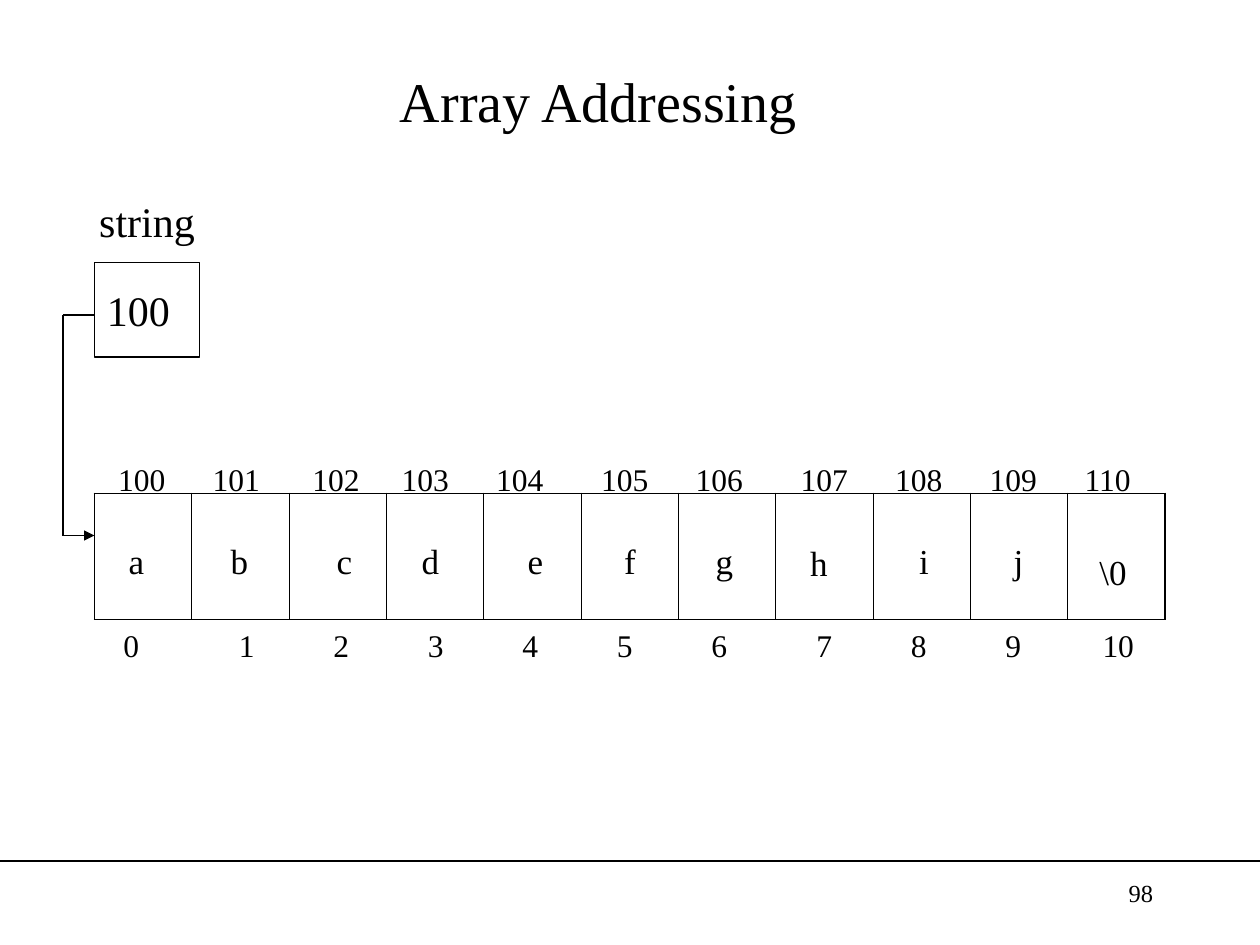
from dataclasses import dataclass

from lxml import etree
from pptx import Presentation
from pptx.dml.color import RGBColor
from pptx.enum.shapes import MSO_CONNECTOR, MSO_SHAPE
from pptx.enum.text import MSO_ANCHOR, MSO_AUTO_SIZE, PP_ALIGN
from pptx.oxml.ns import qn
from pptx.util import Inches, Pt

STRAIGHT, RECTANGLE = MSO_CONNECTOR.STRAIGHT, MSO_SHAPE.RECTANGLE
LEFT, CENTER, RIGHT = PP_ALIGN.LEFT, PP_ALIGN.CENTER, PP_ALIGN.RIGHT
MIDDLE, FIT_SHAPE = MSO_ANCHOR.MIDDLE, MSO_AUTO_SIZE.SHAPE_TO_FIT_TEXT
TITLE_ONLY = 5


@dataclass(frozen=True)
class Theme:
    font: str = "Times New Roman"
    ink: RGBColor = RGBColor(0, 0, 0)
    title: int = 32
    variable: int = 24
    letter: int = 20
    label: int = 18
    page: int = 14
    line: float = 0.75
    outer_border: float = 1.08
    inner_border: float = 0.45


THEME = Theme()

# The slide is a grid of 120 columns by 90 rows.
COLUMNS, ROWS = 120, 90
WIDTH, HEIGHT = Inches(10), Inches(7.5)

TITLE = "Array Addressing"
VARIABLE, POINTER_VALUE = "string", "100"
PAGE = "98"

# Each entry: text, left column, width in columns
ADDRESSES = [
    ("100", 10, 7), ("101", 18, 9), ("102", 28, 8), ("103", 37, 7),
    ("104", 46, 7), ("105", 56, 7), ("106", 65, 7), ("107", 75, 7),
    ("108", 84, 7), ("109", 93, 7), ("110", 102, 7),
]
# Each entry: text, left column, top row
LETTERS = [
    ("a", 10, 50.8), ("b", 19.8, 50.8), ("c", 29.8, 50.8), ("d", 38, 50.8),
    ("e", 48, 50.8), ("f", 57, 50.8), ("g", 66, 50.8), ("h", 75, 51),
    ("i", 85, 50.8), ("j", 94, 50.8), ("\\0", 103, 51.8),
]
INDEX_COLUMNS = [9, 20, 29, 38, 47, 56, 65, 75, 84, 93, 103]

ARRAY_AREA = (9, 47, 102, 12)
POINTER_AREA = (9, 25, 10, 9)
ARROW_COLUMN, ARROW_START, ARROW_END = 6, 30, 51
FOOTER_ROW = 82


def x(column):
    return round(WIDTH * column / COLUMNS)


def y(row):
    return round(HEIGHT * row / ROWS)


def place(area):
    left, top, width, height = area
    return x(left), y(top), x(width), y(height)


def write(frame, text, size, align=CENTER):
    frame.word_wrap = True
    frame.text = text
    paragraph = frame.paragraphs[0]
    paragraph.alignment = align
    paragraph.font.name = THEME.font
    paragraph.font.size = Pt(size)
    paragraph.font.color.rgb = THEME.ink


def add_label(slide, text, area, size, align=CENTER):
    frame = slide.shapes.add_textbox(*place(area)).text_frame
    write(frame, text, size, align)
    frame.auto_size = FIT_SHAPE


def add_line(slide, start, end, arrow=False):
    line = slide.shapes.add_connector(
        STRAIGHT, x(start[0]), y(start[1]), x(end[0]), y(end[1]))
    line.line.color.rgb = THEME.ink
    line.line.width = Pt(THEME.line)
    if arrow:
        etree.SubElement(line.line._get_or_add_ln(), qn("a:tailEnd"), type="triangle")
    etree.SubElement(line._element.spPr, qn("a:effectLst"))


def set_borders(cell, widths):
    """Draw the left, right, top and bottom borders in the given point widths."""
    properties = cell._tc.get_or_add_tcPr()
    for position, (side, width) in enumerate(zip("LRTB", widths)):
        border = etree.Element(qn(f"a:ln{side}"), w=str(Pt(width)))
        fill = etree.SubElement(border, qn("a:solidFill"))
        etree.SubElement(fill, qn("a:srgbClr"), val=str(THEME.ink))
        properties.insert(position, border)


def add_array(slide):
    count = len(LETTERS)
    table = slide.shapes.add_table(1, count, *place(ARRAY_AREA)).table
    table.first_row = table.horz_banding = False
    outer, inner = THEME.outer_border, THEME.inner_border
    for number in range(count):
        table.columns[number].width = x(ARRAY_AREA[2] / count)
        cell = table.cell(0, number)
        cell.fill.background()
        left = outer if number == 0 else inner
        right = outer if number == count - 1 else inner
        set_borders(cell, (left, right, outer, outer))


def add_pointer(slide):
    add_label(slide, VARIABLE, (6, 18, 16, 6), THEME.variable)
    box = slide.shapes.add_shape(RECTANGLE, *place(POINTER_AREA))
    box.shadow.inherit = False
    box.fill.background()
    box.line.color.rgb = THEME.ink
    box.line.width = Pt(THEME.line)
    box.text_frame.vertical_anchor = MIDDLE
    write(box.text_frame, POINTER_VALUE, THEME.variable, LEFT)

    edge = POINTER_AREA[0]
    add_line(slide, (ARROW_COLUMN, ARROW_START), (ARROW_COLUMN, ARROW_END))
    add_line(slide, (ARROW_COLUMN, ARROW_START), (edge, ARROW_START))
    add_line(slide, (ARROW_COLUMN, ARROW_END), (edge, ARROW_END), arrow=True)


def main():
    deck = Presentation()
    deck.slide_width, deck.slide_height = WIDTH, HEIGHT
    slide = deck.slides.add_slide(deck.slide_layouts[TITLE_ONLY])

    title = slide.shapes.title
    title.left, title.top, title.width, title.height = place((6, 3, 102, 13))
    title.text_frame.vertical_anchor = MIDDLE
    write(title.text_frame, TITLE, THEME.title)

    add_line(slide, (0, FOOTER_ROW), (COLUMNS, FOOTER_ROW))
    add_array(slide)
    add_pointer(slide)
    for index, column in enumerate(INDEX_COLUMNS):
        add_label(slide, str(index), (column, 59, 7, 4.8), THEME.label)
    for address, column, width in ADDRESSES:
        add_label(slide, address, (column, 43.2, width, 4.8), THEME.label)
    for letter, column, row in LETTERS:
        add_label(slide, letter, (column, row, 6, 5.3), THEME.letter)
    add_label(slide, PAGE, (86, 83, 25, 6), THEME.page, RIGHT)

    deck.save("out.pptx")


if __name__ == "__main__":
    main()
